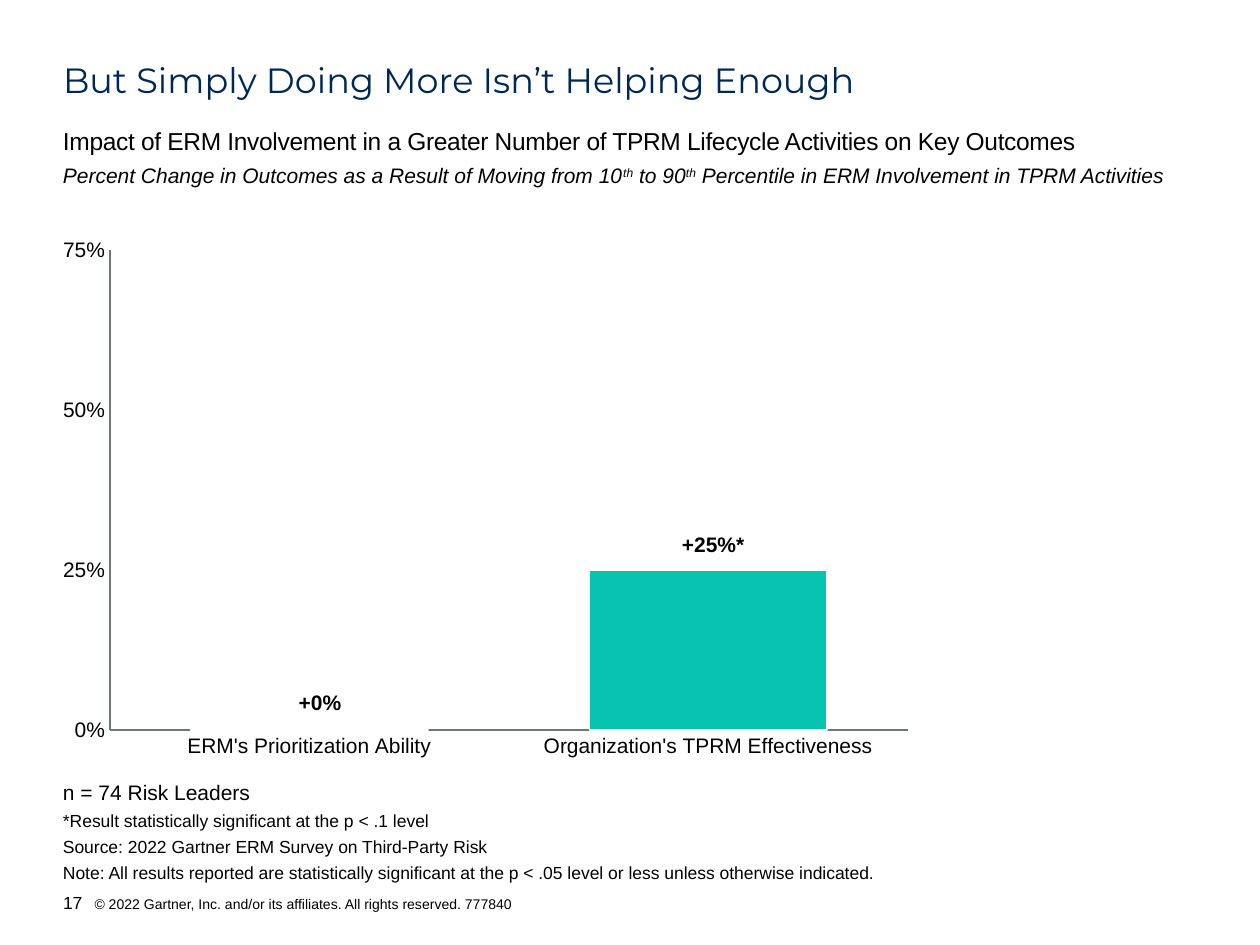
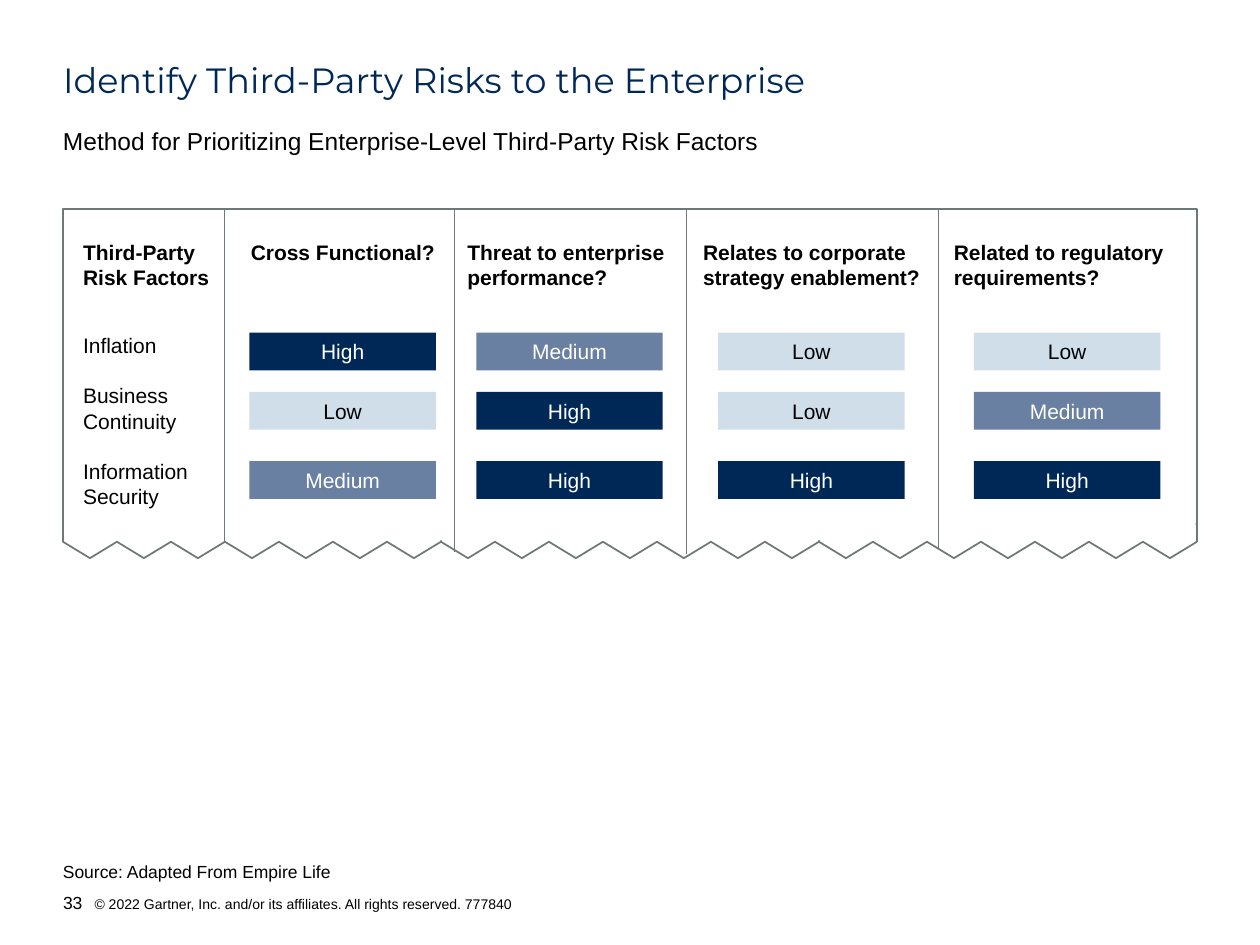
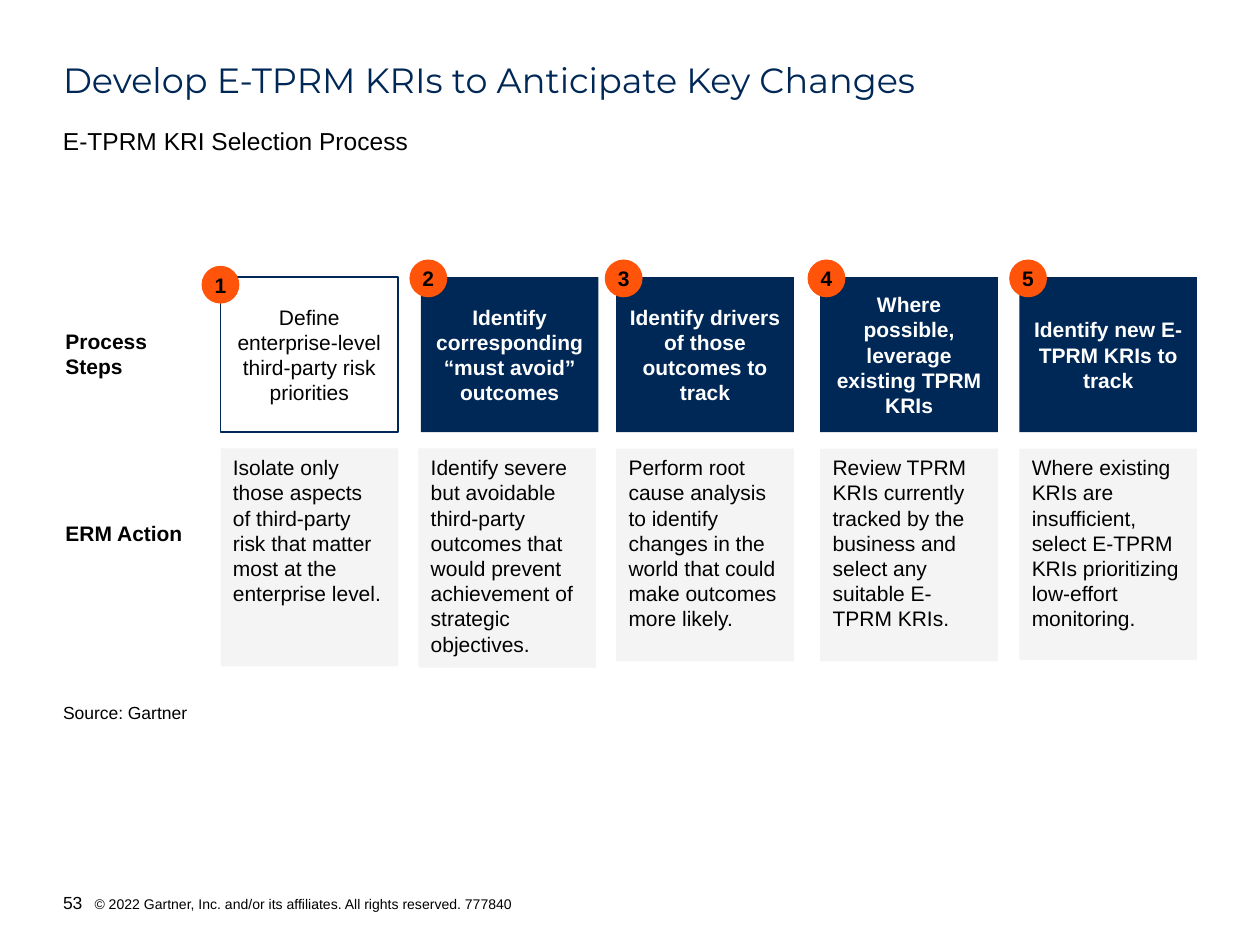
from lxml import etree
from pptx import Presentation
from pptx import util as u
from pptx.chart.data import CategoryChartData
from pptx.dml.color import RGBColor
from pptx.enum import chart as ch, shapes, text
from pptx.oxml import ns, parse_xml

COLORS = {
    "navy": "002856", "slate": "6A80A3", "mist": "D0DEEA", "pale": "F4F4F4",
    "teal": "06C4B0", "orange": "FF540A", "gray": "6F7878",
    "black": "000000", "white": "FFFFFF",
}
COLS, ROWS = 100, 75
LEFT, WIDE = 5, 90
FOOTER = "\t© 2022 Gartner, Inc. and/or its affiliates. All rights reserved. 777840"
TOP, MIDDLE, BOTTOM = (text.MSO_ANCHOR.TOP, text.MSO_ANCHOR.MIDDLE,
                       text.MSO_ANCHOR.BOTTOM)
CENTER = text.PP_ALIGN.CENTER
RECT, OVAL = shapes.MSO_SHAPE.RECTANGLE, shapes.MSO_SHAPE.OVAL
FLUSH = (0, 0, 0, 0)
LABEL = (0, 0.5, 0, 0.5)
NOTE = (0, 1, 0, 0)
PADDED = (1, 0.5, 1, 0.5)


def rgb(name):
    return RGBColor.from_string(COLORS[name])


class Deck:
    font = "Arial"
    title_font = "Montserrat"

    def __init__(self):
        self.prs = Presentation()
        self.prs.slide_width, self.prs.slide_height = u.Inches(10), u.Inches(7.5)
        self.s = None

    def x(self, cols):
        return u.Emu(round(self.prs.slide_width * cols / COLS))

    def y(self, rows):
        return u.Emu(round(self.prs.slide_height * rows / ROWS))

    def box(self, left, top, width, height):
        return self.x(left), self.y(top), self.x(width), self.y(height)

    def slide(self, number, title, subtitle, spacing=0):
        self.s = self.prs.slides.add_slide(self.prs.slide_layouts[5])
        sp = self.s.shapes.title
        sp.left, sp.top, sp.width, sp.height = self.box(LEFT, 5, WIDE, 2.5)
        self.set_text(sp.text_frame, [title], size=20, color="navy",
                      font=self.title_font, insets=FLUSH, align=text.PP_ALIGN.LEFT)
        sp.text_frame.paragraphs[0].line_spacing = 0.9
        self.text((LEFT, 10, WIDE, 2), [[(subtitle, {"spc": spacing})]],
                  size=14, insets=FLUSH)
        footer = self.text((LEFT, 70.8, 59.9, 1.7),
                           [[(str(number), {}), (FOOTER, {"size": 8})]],
                           size=10, insets=FLUSH, anchor=BOTTOM)
        pPr = footer.text_frame.paragraphs[0]._p.get_or_add_pPr()
        pPr.set("marL", str(self.x(2.5)))
        pPr.set("indent", str(-self.x(2.5)))

    def set_text(self, tf, paragraphs, size=12, color="black", bold=False,
                 italic=False, font=None, align=None, anchor=TOP, insets=LABEL,
                 before=None, wrap=True):
        tf.word_wrap = wrap
        tf.auto_size = text.MSO_AUTO_SIZE.NONE
        tf.vertical_anchor = anchor
        tf.margin_left, tf.margin_right = self.x(insets[0]), self.x(insets[2])
        tf.margin_top, tf.margin_bottom = self.y(insets[1]), self.y(insets[3])
        for i, runs in enumerate(paragraphs):
            p = tf.add_paragraph() if i else tf.paragraphs[0]
            p.alignment = align
            if i and before:
                p.space_before = u.Pt(before[i] if isinstance(before, list) else before)
            for words, style in [(runs, {})] if isinstance(runs, str) else runs:
                r = p.add_run()
                r.text = words
                r.font.name = font or self.font
                r.font.size = u.Pt(style.get("size", size))
                r.font.bold, r.font.italic = bold, italic
                r.font.color.rgb = rgb(color)
                for key in ("baseline", "spc"):
                    if style.get(key):
                        r._r.get_or_add_rPr().set(key, str(style[key]))

    def text(self, at, paragraphs, **style):
        sp = self.s.shapes.add_textbox(*self.box(*at))
        self.set_text(sp.text_frame, paragraphs, **style)
        return sp

    def paint(self, sp, fill, line=None):
        sp.shadow.inherit = False
        sp.fill.solid()
        sp.fill.fore_color.rgb = rgb(fill)
        if line:
            sp.line.color.rgb = rgb(line)
            sp.line.width = u.Pt(1)
        else:
            sp.line.fill.background()

    def shape(self, kind, at, fill, line=None, words=None, **style):
        sp = self.s.shapes.add_shape(kind, *self.box(*at))
        self.paint(sp, fill, line)
        if words:
            self.set_text(sp.text_frame, [words], **style)

    def torn_sheet(self, left, top, width, valley, peak, teeth):
        step = width / (2 * teeth)
        points = [(left + i * step, peak if i % 2 else valley)
                  for i in range(2 * teeth + 1)] + [(left + width, top)]
        fb = self.s.shapes.build_freeform(self.x(left), self.y(top))
        fb.add_line_segments([(self.x(a), self.y(b)) for a, b in points], close=True)
        self.paint(fb.convert_to_shape(), "white", "gray")

    def rule(self, x, top, bottom):
        cn = self.s.shapes.add_connector(
            shapes.MSO_CONNECTOR.STRAIGHT, self.x(x), self.y(top),
            self.x(x), self.y(bottom))
        cn.line.color.rgb = rgb("gray")
        cn.line.width = u.Pt(0.5)
        etree.SubElement(cn._element.spPr, ns.qn("a:effectLst"))

    def column_chart(self, at, cats, vals, highlight, plot):
        data = CategoryChartData(number_format="0%")
        data.categories = cats
        data.add_series("Series 1", vals)
        chart = self.s.shapes.add_chart(
            ch.XL_CHART_TYPE.COLUMN_CLUSTERED, *self.box(*at), data).chart
        chart.has_legend = chart.has_title = False
        chart.font.name, chart.font.size = self.font, u.Pt(12)
        chart.font.color.rgb = rgb("black")
        for axis in (chart.category_axis, chart.value_axis):
            axis.has_major_gridlines = False
            axis.major_tick_mark = axis.minor_tick_mark = ch.XL_TICK_MARK.NONE
            axis.format.line.color.rgb = rgb("gray")
            axis.format.line.width = u.Pt(1)
        axis.minimum_scale, axis.maximum_scale, axis.major_unit = 0, 0.75, 0.25
        axis.tick_labels.number_format = "0%"
        axis.tick_labels.number_format_is_linked = False
        bars = chart.plots[0]
        bars.gap_width, bars.vary_by_categories = 68, False
        series = bars.series[0]
        for part, color in ((series, "navy"), (series.points[highlight], "teal")):
            part.format.fill.solid()
            part.format.fill.fore_color.rgb = rgb(color)
            part.format.line.color.rgb = rgb("white")
            part.format.line.width = u.Pt(1)
        sizes = "".join(f'<c:{k} val="{v}"/>' for k, v in zip("xywh", plot))
        layout = parse_xml(
            f'<c:layout {ns.nsdecls("c")}><c:manualLayout>'
            '<c:layoutTarget val="inner"/><c:xMode val="edge"/><c:yMode val="edge"/>'
            f'{sizes}</c:manualLayout></c:layout>')
        area = chart._chartSpace.chart.plotArea
        for old in area.findall(ns.qn("c:layout")):
            area.remove(old)
        area.insert(0, layout)


def outcomes(d):
    d.slide(17, "But Simply Doing More Isn’t Helping Enough",
            "Impact of ERM Involvement in a Greater Number of TPRM Lifecycle "
            "Activities on Key Outcomes", spacing=-20)
    th = ("th", {"baseline": 30000})
    d.text((LEFT, 12.9, WIDE, 2), [[
        ("Percent Change in Outcomes as a Result of Moving from 10", {}), th,
        (" to 90", {}), th,
        (" Percentile in ERM Involvement in TPRM Activities", {})]],
        italic=True, insets=FLUSH)
    d.column_chart((LEFT, 17.7, 67.1, 43.6),
                   ["ERM's Prioritization Ability",
                    "Organization's TPRM Effectiveness"],
                   [0, 0.25], 1, (0.055, 0.049, 0.946, 0.874))
    d.text((LEFT, 60.8, WIDE, 9.3), [
        "n = 74 Risk Leaders",
        *([(line, {"size": 10})] for line in (
            "*Result statistically significant at the p < .1 level",
            "Source: 2022 Gartner ERM Survey on Third-Party Risk",
            "Note: All results reported are statistically significant at the "
            "p < .05 level or less unless otherwise indicated."))],
        insets=NOTE, anchor=BOTTOM, before=3)
    for left, top, value in ((21.8, 54.2, "+0%"), (53, 41.7, "+25%*")):
        d.text((left, top, 7.2, 3), [value], bold=True, align=CENTER)


def risk_factors(d):
    d.slide(33, "Identify Third-Party Risks to the Enterprise",
            "Method for Prioritizing Enterprise-Level Third-Party Risk Factors")
    d.text((LEFT, 67.3, 38, 2.7), ["Source: Adapted From Empire Life"],
           size=10, insets=NOTE, anchor=BOTTOM)
    for i in range(3):
        d.torn_sheet(LEFT + i * WIDE / 3, 28.8, WIDE / 3, 43, 44.3, 7)
    d.shape(RECT, (LEFT, 16.6, WIDE, 25), "white", "gray")
    d.text((6.6, 25.9, 9.6, 15.1),
           ["Inflation", "Business", "Continuity", "Information", "Security"],
           before=[0, 14.4, 0, 14.4, 0])
    d.text((6.6, 18.5, 10.8, 5), ["Third-Party Risk Factors"], bold=True)
    levels = {"High": ("navy", "white"), "Medium": ("slate", "white"),
              "Low": ("mist", "black")}
    criteria = (
        (19.9, 14.8, 19.8, "Cross Functional?", ("High", "Low", "Medium")),
        (37.1, 16.3, 37.8, "Threat to enterprise performance?",
         ("Medium", "High", "High")),
        (55.8, 17.5, 57, "Relates to corporate strategy enablement?",
         ("Low", "Low", "High")),
        (75.7, 17.5, 77.3, "Related to regulatory requirements?",
         ("Low", "Medium", "High")))
    for left, width, rating_left, question, ratings in criteria:
        d.text((left, 18.5, width, 5), [question], bold=True)
        for top, level in zip((26.4, 31.1, 36.6), ratings):
            fill, color = levels[level]
            d.shape(RECT, (rating_left, top, 14.8, 3), fill, words=level,
                    color=color, align=CENTER, anchor=MIDDLE, insets=PADDED)
    d.shape(RECT, (5.1, 40.6, 89.8, 2.3), "white")
    for x, bottom in ((17.8, 42.9), (36.1, 43.8), (54.5, 44), (74.5, 43.5)):
        d.rule(x, 16.6, bottom)


def selection_process(d):
    d.slide(53, "Develop E-TPRM KRIs to Anticipate Key Changes",
            "E-TPRM KRI Selection Process")
    d.text((5.2, 25.6, 7.6, 5), ["Process", "Steps"], bold=True)
    d.text((5.2, 40.8, 9.4, 3), ["ERM Action"], bold=True, wrap=False)
    d.text((LEFT, 54.7, 66.1, 2.7), ["Source: Gartner"],
           size=10, insets=NOTE, anchor=BOTTOM)
    steps = (
        (17.5, 17.5, 17.3, 16, 21.1,
         "Define enterprise-level third-party risk priorities",
         "Isolate only those aspects of third-party risk that matter most at "
         "the enterprise level."),
        (33.4, 33.2, 17.4, 32.5, 20.6,
         "Identify corresponding “must avoid” outcomes",
         "Identify severe but avoidable third-party outcomes that would prevent "
         "achievement of strategic objectives."),
        (48.9, 48.9, 16.9, 48, 20.6,
         "Identify drivers of those outcomes to track",
         "Perform root cause analysis to identify changes in the world that "
         "could make outcomes more likely."),
        (65.1, 65.1, 16.9, 64.1, 20.6,
         "Where possible, leverage existing TPRM KRIs",
         "Review TPRM KRIs currently tracked by the business and select any "
         "suitable E-TPRM KRIs."),
        (80.9, 80.9, 16.8, 80.1, 20.6,
         "Identify new E-TPRM KRIs to track",
         "Where existing KRIs are insufficient, select E-TPRM KRIs prioritizing "
         "low-effort monitoring."))
    for i, (left, action_left, height, dot_left, dot_top, step, action) in enumerate(steps):
        filled = i > 0
        d.shape(RECT, (left, 22, 14.1, 12.3), "navy" if filled else "white",
                None if filled else "navy", step, bold=filled,
                color="white" if filled else "black",
                align=CENTER, anchor=MIDDLE, insets=PADDED)
        d.shape(RECT, (action_left, 35.6, 14.1, height), "pale", words=action,
                insets=PADDED, align=text.PP_ALIGN.LEFT)
        d.shape(OVAL, (dot_left, dot_top, 3, 3), "orange", words=str(i + 1),
                bold=True, align=CENTER, anchor=MIDDLE, insets=FLUSH, wrap=False)


def main():
    d = Deck()
    for build in (outcomes, risk_factors, selection_process):
        build(d)
    d.prs.save("out.pptx")


if __name__ == "__main__":
    main()
